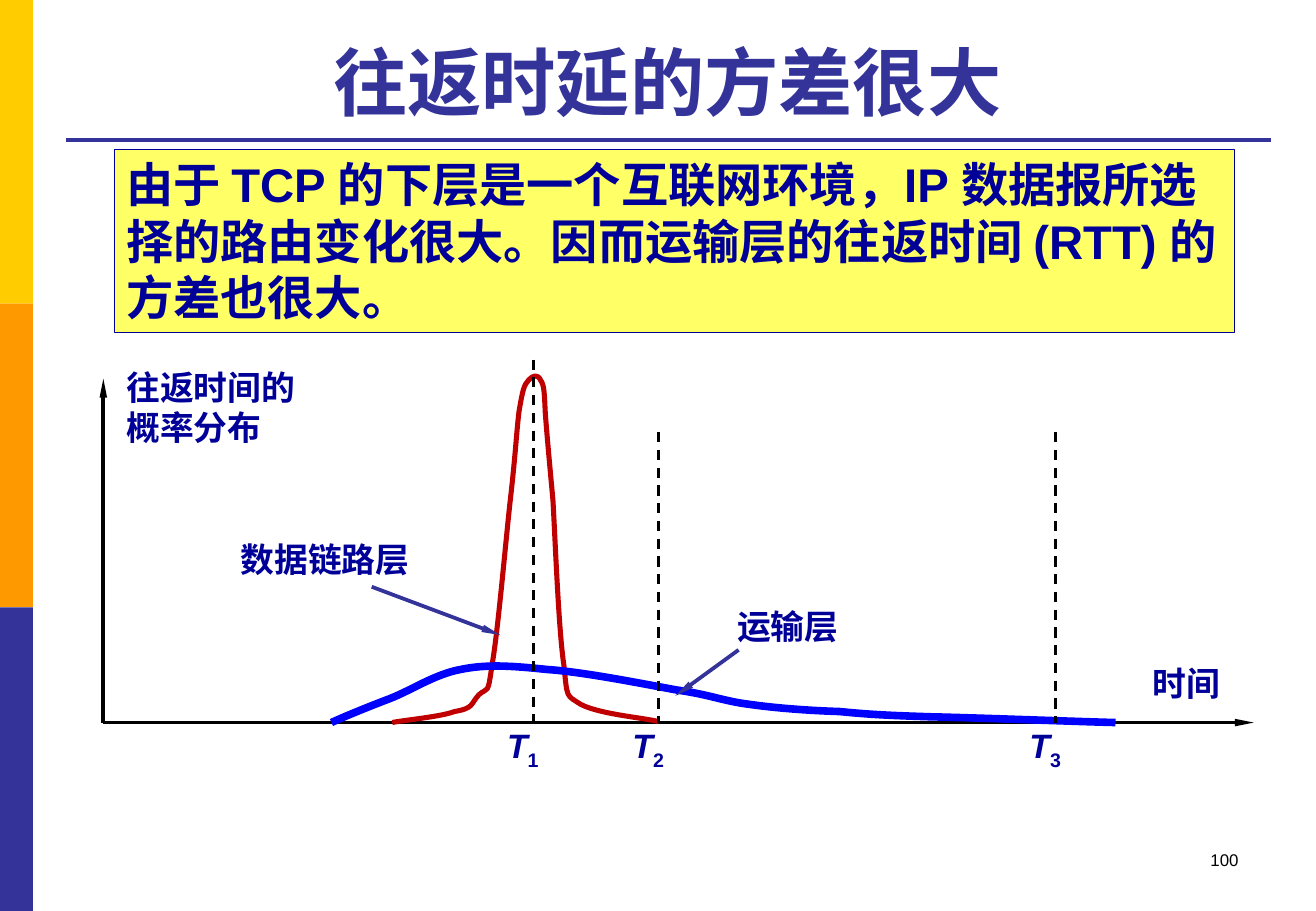
from dataclasses import dataclass
from lxml.etree import SubElement
from pptx import Presentation
from pptx.dml.color import RGBColor as Rgb
from pptx.enum.dml import MSO_LINE as Dash
from pptx.enum.lang import MSO_LANGUAGE_ID as Lang
from pptx.enum.shapes import MSO_CONNECTOR as Link, MSO_SHAPE as Shape
from pptx.enum.text import MSO_ANCHOR as Anchor, MSO_AUTO_SIZE as Fit, PP_ALIGN as Align
from pptx.oxml.ns import qn
from pptx.util import Cm, Pt


@dataclass(frozen=True)
class Theme:
    font: str = "Arial"
    gold: str = "FFCC00"
    orange: str = "FF9900"
    indigo: str = "333399"
    navy: str = "000099"
    yellow: str = "FFFF66"
    red: str = "C00000"
    blue: str = "0000FF"
    black: str = "000000"
    title: int = 44
    body: int = 28
    label: int = 20
    note: int = 10


class Board:
    def __init__(self, slide, theme):
        self.shapes = slide.shapes
        self.theme = theme

    def stroke(self, line, color, width):
        line.color.rgb = Rgb.from_string(color)
        line.width = Pt(width)

    def rect(self, x, y, w, h, fill):
        box = self.shapes.add_shape(Shape.RECTANGLE, Cm(x), Cm(y), Cm(w), Cm(h))
        box.shadow.inherit = False
        box.fill.solid()
        box.fill.fore_color.rgb = Rgb.from_string(fill)
        box.line.fill.background()
        return box

    def letter(self, box, text, size, color, bold=True, align=Align.LEFT, wrap=True):
        """Put styled text into a shape and return its text frame."""
        frame = box.text_frame
        frame.text = text
        frame.word_wrap = wrap
        frame.auto_size = Fit.NONE if wrap else Fit.SHAPE_TO_FIT_TEXT
        frame.vertical_anchor = Anchor.TOP
        for para in frame.paragraphs:
            para.alignment = align
            for run in para.runs:
                self.style(run, size, color, bold)
        return frame

    def style(self, run, size, color, bold=True):
        font = run.font
        font.name = self.theme.font
        font.size = Pt(size)
        font.bold = bold
        font.color.rgb = Rgb.from_string(color)
        font.language_id = Lang.SIMPLIFIED_CHINESE

    def text(self, x, y, w, h, text, size, color, **look):
        box = self.shapes.add_textbox(Cm(x), Cm(y), Cm(w), Cm(h))
        return self.letter(box, text, size, color, **look)

    def label(self, x, y, w, text, h=1.12):
        return self.text(x, y, w, h, text, self.theme.label, self.theme.navy, wrap=False)

    def tick(self, x, y, index):
        """Add an italic T with an upright subscript."""
        para = self.label(x, y, 1.22, "T").paragraphs[0]
        para.runs[0].font.italic = True
        sub = para.add_run()
        sub.text = index
        self.style(sub, self.theme.label, self.theme.navy)
        sub._r.get_or_add_rPr().set("baseline", "-25000")

    def line(self, start, end, color, width=2.25, arrow=False, dash=False):
        link = self.shapes.add_connector(Link.STRAIGHT, *map(Cm, (*start, *end)))
        props = link._element.spPr
        SubElement(props, qn("a:effectLst"))
        self.stroke(link.line, color, width)
        if dash:
            link.line.dash_style = Dash.DASH
        if arrow:
            SubElement(props.find(qn("a:ln")), qn("a:tailEnd"),
                       type="triangle", w="sm", len="lg")

    def curve(self, points, color, width):
        """Draw cubic Béziers: a start, then two handles and an end for each piece."""
        first, *rest = [(Cm(x), Cm(y)) for x, y in points]
        pen = self.shapes.build_freeform(*first)
        pen.add_line_segments(rest, close=False)
        form = pen.convert_to_shape()
        form.shadow.inherit = False
        form.fill.background()
        self.stroke(form.line, color, width)
        trace = form._element.find(".//" + qn("a:path"))
        legs = iter(trace.findall(qn("a:lnTo")))
        for trio in zip(legs, legs, legs):
            bend = SubElement(trace, qn("a:cubicBezTo"))
            for leg in trio:
                bend.append(leg[0])
                trace.remove(leg)


LINK_CURVE = [
    (8.2, 15.11),
    (8.43, 15.06), (9.22, 14.99), (9.5, 14.88),
    (9.91, 14.81), (9.83, 14.73), (10.01, 14.53),
    (10.21, 14.35), (10.19, 14.58), (10.29, 13.89),
    (10.41, 13.21), (10.57, 11.33), (10.67, 10.44),
    (10.77, 9.58), (10.8, 9.02), (10.85, 8.61),
    (10.92, 8.2), (10.95, 8.05), (11.05, 7.95),
    (11.13, 7.85), (11.25, 7.82), (11.3, 7.95),
    (11.38, 8.05), (11.38, 8.23), (11.4, 8.64),
    (11.43, 9.04), (11.48, 9.6), (11.56, 10.46),
    (11.61, 11.35), (11.68, 13.21), (11.79, 13.92),
    (11.86, 14.63), (11.84, 14.53), (12.14, 14.73),
    (12.55, 14.94), (13.46, 15.01), (13.77, 15.09),
]
TRANSPORT_CURVE = [
    (6.93, 15.11),
    (7.14, 15.01), (7.7, 14.78), (8.15, 14.61),
    (8.61, 14.43), (9.09, 14.1), (9.63, 14),
    (10.16, 13.89), (10.67, 13.92), (11.43, 14),
    (12.19, 14.05), (13.44, 14.3), (14.15, 14.43),
    (14.86, 14.53), (15.11, 14.66), (15.67, 14.73),
    (16.23, 14.81), (16.92, 14.86), (17.55, 14.88),
    (18.16, 14.94), (18.52, 14.96), (19.46, 14.99),
    (20.42, 15.01), (22.5, 15.09), (23.32, 15.11),
]


def main():
    deck = Presentation()
    deck.slide_width, deck.slide_height = Cm(27.51), Cm(19.05)
    theme = Theme()
    board = Board(deck.slides.add_slide(deck.slide_layouts[6]), theme)

    band = 6.35
    for row, color in enumerate((theme.gold, theme.orange, theme.indigo)):
        board.rect(0, row * band, 0.69, band, color)
    board.line((1.37, 2.92), (26.57, 2.92), theme.indigo)
    title = board.text(1.37, 0.53, 25.17, 2.21, "往返时延的方差很大",
                       theme.title, theme.indigo, align=Align.CENTER)
    title.vertical_anchor = Anchor.BOTTOM

    left, base = 2.16, 15.11
    for end in ((26.21, base), (left, 7.92)):
        board.line((left, base), end, theme.black, arrow=True)
    board.curve(LINK_CURVE, theme.red, 3)
    board.curve(TRANSPORT_CURVE, theme.blue, 4.5)
    for index, (x, top) in enumerate(((11.15, 7.52), (13.77, 9.04), (22.07, 9.04)), 1):
        board.line((x, top), (x, base), theme.black, 1.5, dash=True)
        board.tick(x - 0.8, 15.04, str(index))

    board.label(23.85, 13.74, 1.93, "时间")
    board.label(4.78, 11.15, 4.06, "数据链路层")
    board.label(15.16, 12.55, 2.64, "运输层")
    board.label(2.39, 7.54, 4.06, "往返时间的\n概率分布", h=1.96)
    board.line((7.77, 12.27), (10.46, 13.28), theme.indigo, arrow=True)
    board.line((15.44, 13.59), (14.12, 14.55), theme.indigo, arrow=True)

    claim = board.rect(2.39, 3.12, 23.42, 3.84, theme.yellow)
    board.stroke(claim.line, theme.navy, 0.75)
    board.letter(claim, "由于 TCP 的下层是一个互联网环境，IP 数据报所选择的路由变化很大。"
                 "因而运输层的往返时间 (RTT) 的方差也很大。", theme.body, theme.navy)
    board.text(19.71, 17.65, 6.43, 1.27, "100", theme.note, theme.black,
               bold=False, align=Align.RIGHT)
    deck.save("out.pptx")


if __name__ == "__main__":
    main()
